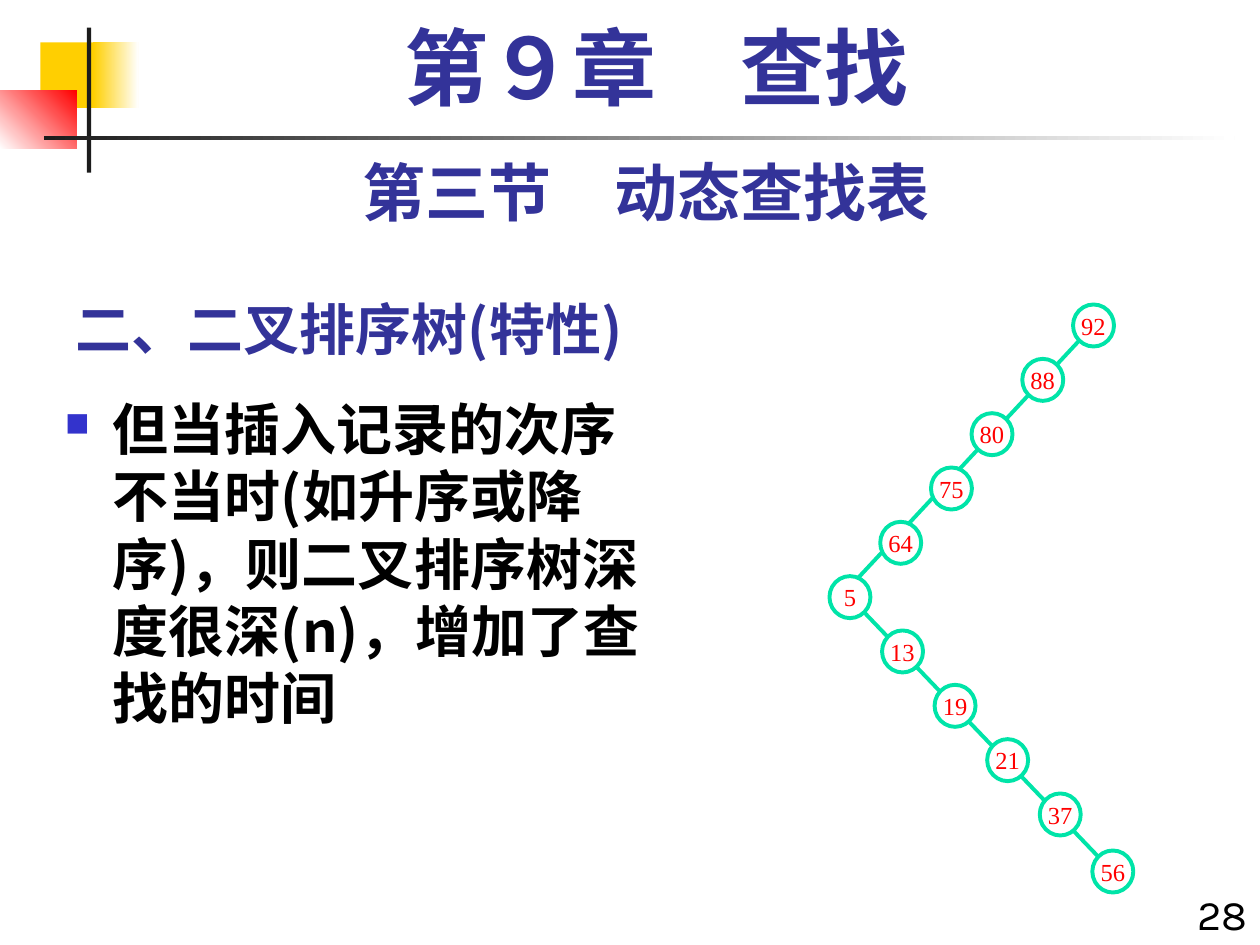
from dataclasses import dataclass

from lxml.etree import SubElement
from pptx import Presentation
from pptx.dml.color import RGBColor
from pptx.enum.shapes import MSO_CONNECTOR as Link, MSO_SHAPE as Shape
from pptx.enum.text import MSO_ANCHOR as Anchor, PP_ALIGN as Align
from pptx.oxml.ns import qn
from pptx.util import Inches, Pt

COLS, ROWS = 120, 90  # slide grid
WIDTH, HEIGHT = Inches(10), Inches(7.5)


@dataclass(frozen=True)
class Theme:
    heading: str = "333399"
    ink: str = "000000"
    bullet: str = "3333CC"
    gold: str = "FFCF01"
    red: str = "FF0000"
    bar: str = "1C1C1C"
    paper: str = "FFFFFF"
    tree: str = "00E4A8"
    chapter_size: int = 48
    section_size: int = 36
    body_size: int = 32
    page_size: int = 24
    key_size: int = 14
    tree_line: float = 2.25
    serif: str = "Times New Roman"
    sans: str = "Karla"
    cjk: str = "Noto Sans CJK SC"


THEME = Theme()


@dataclass(frozen=True)
class Box:
    col: float
    row: float
    cols: float
    rows: float

    def inner(self, col, row, cols, rows):
        return Box(self.col + col, self.row + row, cols, rows)

    def point(self, col, row):
        return int((self.col + col) * WIDTH / COLS), int((self.row + row) * HEIGHT / ROWS)

    def emu(self):
        return (*self.point(0, 0), int(self.cols * WIDTH / COLS), int(self.rows * HEIGHT / ROWS))


def rgb(code):
    return RGBColor.from_string(code)


def write(frame, text, color, align=Align.LEFT, bullet=None, **formats):
    """Put one formatted paragraph into a text frame."""
    paragraph = frame.paragraphs[0]
    paragraph.alignment = align
    if bullet:
        add_bullet(paragraph, bullet)
    run = paragraph.add_run()
    run.text = text
    for key, value in formats.items():
        setattr(run.font, key, value)
    run.font.color.rgb = rgb(color)
    SubElement(run.font._element, qn("a:ea")).set("typeface", THEME.cjk)


def add_bullet(paragraph, mark):
    props = paragraph._p.get_or_add_pPr()
    hang = Inches(0.38)
    props.set("marL", str(hang))
    props.set("indent", str(-hang))
    bullet_color = SubElement(props, qn("a:buClr"))
    SubElement(bullet_color, qn("a:srgbClr")).set("val", THEME.bullet)
    SubElement(props, qn("a:buSzPct")).set("val", "60000")
    SubElement(props, qn("a:buChar")).set("char", mark)


def text_block(slide, box, text, color, anchor=Anchor.TOP, line_spacing=None, **formats):
    frame = slide.shapes.add_textbox(*box.emu()).text_frame
    for key, value in {"word_wrap": True, "vertical_anchor": anchor}.items():
        setattr(frame, key, value)
    write(frame, text, color, **formats)
    frame.paragraphs[0].line_spacing = line_spacing


def plain_shape(slide, kind, box):
    shape = slide.shapes.add_shape(kind, *box.emu())
    shape.shadow.inherit = False
    shape.line.fill.background()
    return shape


def corner_ornament(slide, box):
    """Colour blocks and crossed bars; two colours make a gradient."""
    blocks = [
        ((3.84, 1.4, 5.76, 6.24), (THEME.gold,), 0),
        ((8.88, 1.4, 4.32, 6.24), (THEME.gold, THEME.paper), 0),
        ((0, 6, 7.32, 5.52), (THEME.paper, THEME.red), 45),
        ((8.28, 0, 0.4, 13.8), (THEME.bar,), 0),
        ((4.2, 10.3, 113.4, 0.4), (THEME.bar, THEME.paper), 0),
    ]
    for place, colors, angle in blocks:
        fill = plain_shape(slide, Shape.RECTANGLE, box.inner(*place)).fill
        if len(colors) == 1:
            fill.solid()
            fill.fore_color.rgb = rgb(colors[0])
            continue
        fill.gradient()
        fill.gradient_angle = angle
        for stop, color, position in zip(fill.gradient_stops, colors, (0, 1)):
            stop.color.rgb = rgb(color)
            stop.position = position


def tree_line(slide, start, end):
    link = slide.shapes.add_connector(Link.STRAIGHT, *start, *end)
    link.line.color.rgb = rgb(THEME.tree)
    link.line.width = Pt(THEME.tree_line)
    SubElement(link._element.spPr, qn("a:effectLst"))


def tree_node(slide, box, key):
    node = plain_shape(slide, Shape.OVAL, box)
    node.fill.solid()
    node.fill.fore_color.rgb = rgb(THEME.paper)
    node.line.color.rgb = rgb(THEME.tree)
    node.line.width = Pt(THEME.tree_line)
    node.text_frame.word_wrap = False
    node.text_frame.vertical_anchor = Anchor.MIDDLE
    write(node.text_frame, str(key), THEME.red, Align.CENTER,
          size=Pt(THEME.key_size), name=THEME.serif)


def search_tree(slide, box):
    """Degenerate tree: keys fall left to 5, then right to 56."""
    node_cols, node_rows = 3.9, 4
    step_col, step_row = box.cols / 30, (box.rows - node_rows) / 10.05
    falling = zip((92, 88, 80, 75, 64, 5), (24, 19, 14, 10, 5, 0), range(6))
    rising = [(key, 5.18 * i, 5 + i) for i, key in enumerate((13, 19, 21, 37), 1)]
    last = (56, 25.9, 10.05)

    # Branches lie behind the nodes
    tree_line(slide, box.point(24.1, 3.1), box.point(0.9, 28))
    tree_line(slide, box.point(3, 29), box.point(25.8, 52.8))
    for key, col, row in (*falling, *rising, last):
        tree_node(slide, box.inner(col * step_col, row * step_row, node_cols, node_rows), key)


def headings(slide, box):
    common = {"color": THEME.heading, "bold": True}
    text_block(slide, box.inner(0, 24, 75, 9), "二、二叉排序树(特性)", anchor=Anchor.BOTTOM,
               size=Pt(THEME.body_size), name=THEME.cjk, **common)
    text_block(slide, box.inner(0, 12, 111, 8.4), "第三节　动态查找表", align=Align.CENTER,
               size=Pt(THEME.section_size), name=THEME.sans, **common)
    text_block(slide, box.inner(2, 0, 109, 10), "第９章　查找", align=Align.CENTER,
               line_spacing=0.9, size=Pt(THEME.chapter_size), name=THEME.serif, **common)


def explanation(slide, box):
    text_block(slide, box,
               "但当插入记录的次序不当时(如升序或降序)，则二叉排序树深度很深(n)，增加了查找的时间",
               THEME.ink, bullet="■", size=Pt(THEME.body_size), name=THEME.cjk, bold=True)


def page_number(slide, box):
    text_block(slide, box, "28", THEME.ink, align=Align.RIGHT,
               size=Pt(THEME.page_size), name=THEME.sans)


def main():
    deck = Presentation()
    deck.slide_width, deck.slide_height = WIDTH, HEIGHT
    slide = deck.slides.add_slide(deck.slide_layouts[6])
    corner_ornament(slide, Box(0, 2.64, 120, 14))
    headings(slide, Box(6, 2, 111, 33))
    explanation(slide, Box(5, 37, 59, 53))
    search_tree(slide, Box(79, 29, 29, 56))
    page_number(slide, Box(112, 84, 8, 6))
    deck.save("out.pptx")


if __name__ == "__main__":
    main()
